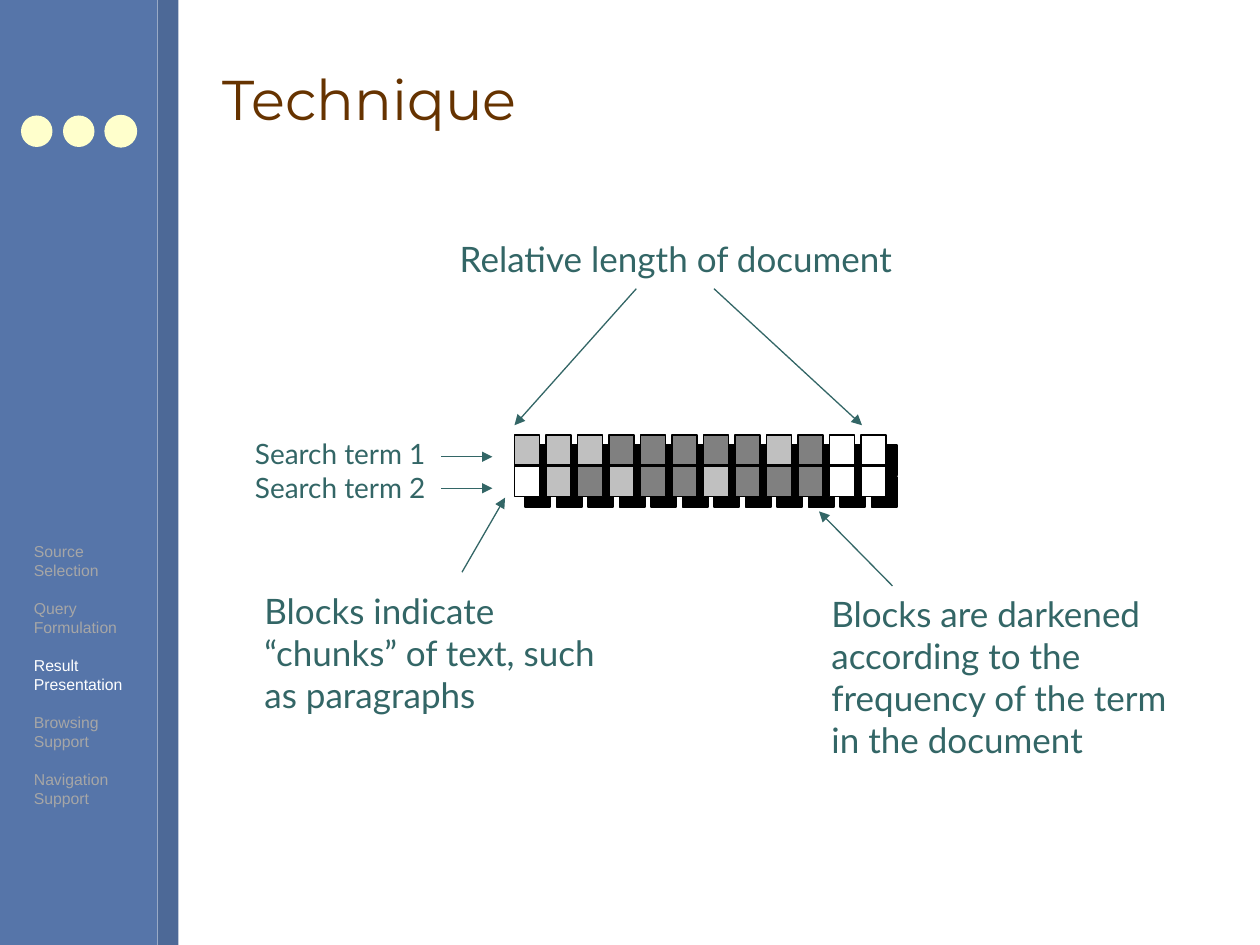
from dataclasses import dataclass
from lxml.etree import SubElement as Sub
from pptx import Presentation
from pptx.dml.color import RGBColor as Rgb
from pptx.enum.shapes import MSO_CONNECTOR as Conn, MSO_SHAPE as Kind
from pptx.enum.text import MSO_ANCHOR as Anchor, MSO_AUTO_SIZE as Auto, PP_ALIGN as Align
from pptx.oxml.ns import qn
from pptx.util import Inches, Pt


@dataclass(frozen=True)
class Theme:
    bar: str = "5675A9"
    edge: str = "4D6997"
    dot: str = "FFFFCC"
    head: str = "663300"
    ink: str = "336666"
    dim: str = "A6A6A6"
    white: str = "FFFFFF"
    light: str = "C0C0C0"
    dark: str = "808080"
    black: str = "000000"
    big: int = 32
    note: int = 20
    term: int = 16
    menu: int = 9


T = Theme()
COLS, ROWS = 120, 90
WIDE, HIGH = Inches(10), Inches(7.5)

STEPS = [
    ("Source ", "Selection"),
    ("Query ", "Formulation"),
    ("Result ", "Presentation"),
    ("Browsing ", "Support"),
    ("Navigation ", "Support"),
]
ACTIVE = 2
TERMS = [("Search term 1",), ("Search term 2",)]
NOTES = [
    ("Relative length of document", (42.6, 22, 46.7, 5.3), False),
    ("Blocks indicate “chunks” of text, such as paragraphs", (24, 55.55, 34, 13.2), True),
    ("Blocks are darkened according to the frequency of the term in the document",
     (78, 55.8, 35, 21.2), True),
]
HITS = ["111222221200", "012122122200"]
SHADES = {"0": T.white, "1": T.light, "2": T.dark}
ARROWS = [
    ((60.6, 27.5), (49, 40.5)),
    ((68, 27.5), (82.1, 40.5)),
    ((42, 43.5), (46.9, 43.5)),
    ((42, 46.5), (46.9, 46.5)),
    ((44, 54.5), (48.1, 47.4)),
    ((85, 55.8), (78, 48.7)),
]

deck = Presentation()
deck.slide_width, deck.slide_height = WIDE, HIGH
slide = deck.slides.add_slide(deck.slide_layouts[6])
shapes = slide.shapes


def place(*nums):
    return [round(n * (HIGH / ROWS if i % 2 else WIDE / COLS)) for i, n in enumerate(nums)]


def block(kind, area, fill, line=None, width=0.75):
    item = shapes.add_shape(kind, *place(*area))
    item.shadow.inherit = False
    item.fill.solid()
    item.fill.fore_color.rgb = Rgb.from_string(fill)
    if line:
        item.line.color.rgb = Rgb.from_string(line)
        item.line.width = Pt(width)
    else:
        item.line.fill.background()
    return item


def cast(item):
    tag = item._element.spPr.find(qn("a:effectLst"))
    drop = Sub(tag, qn("a:outerShdw"), dist=str(Pt(8.5)), dir="2700000",
               algn="ctr", rotWithShape="0")
    Sub(drop, qn("a:srgbClr"), val=T.black)


def write(area, paras, font, size, tint, wrap=True, align=Align.LEFT, gap=0, lit=None):
    box = shapes.add_textbox(*place(*area))
    frame = box.text_frame
    frame.word_wrap = wrap
    frame.auto_size = Auto.SHAPE_TO_FIT_TEXT
    for i, lines in enumerate(paras):
        para = frame.paragraphs[0] if i == 0 else frame.add_paragraph()
        para.alignment = align
        if i and gap:
            para.space_before = Pt(gap)
        for j, line in enumerate(lines):
            if j:
                para.add_line_break()
            run = para.add_run()
            run.text = line
            run.font.name, run.font.size = font, Pt(size)
            run.font.color.rgb = Rgb.from_string(T.white if i == lit else tint)
        for br in para._p.findall(qn("a:br")):
            Sub(br, qn("a:rPr"), sz=str(size * 100))
    return frame


def arrow(start, end):
    item = shapes.add_connector(Conn.STRAIGHT, *place(*start, *end))
    item.line.color.rgb = Rgb.from_string(T.ink)
    item.line.width = Pt(0.75)
    Sub(item.line._get_or_add_ln(), qn("a:tailEnd"), type="triangle")
    Sub(item._element.spPr, qn("a:effectLst"))


block(Kind.RECTANGLE, (0, 0, 15, ROWS), T.bar)
block(Kind.RECTANGLE, (15, 0, 2, ROWS), T.edge)
for n in range(3):
    block(Kind.OVAL, (2 + 4 * n, 11, 3, 3), T.dot, T.dot if n == 2 else None)

title = write((20, 2.5, 96, 13.6), [("Technique",)], "Montserrat", T.big, T.head)
title.auto_size = Auto.NONE
title.vertical_anchor = Anchor.MIDDLE

for col, pair in enumerate(zip(*HITS)):
    for row, hit in enumerate(pair):
        area = (49 + 3 * col, 41.4 + 3 * row, 2.4, 2.9)
        cast(block(Kind.RECTANGLE, area, SHADES[hit], T.black, 1))

for start, end in ARROWS:
    arrow(start, end)
for text, area, wrap in NOTES:
    write(area, [(text,)], "Lato", T.note, T.ink, wrap)
write((19, 41, 22.7, 7.7), TERMS, "Lato", T.term, T.ink, align=Align.RIGHT)
write((2.05, 51, 10.8, 26.5), STEPS, "Arial", T.menu, T.dim, wrap=False, gap=10.9, lit=ACTIVE)

deck.save("out.pptx")
